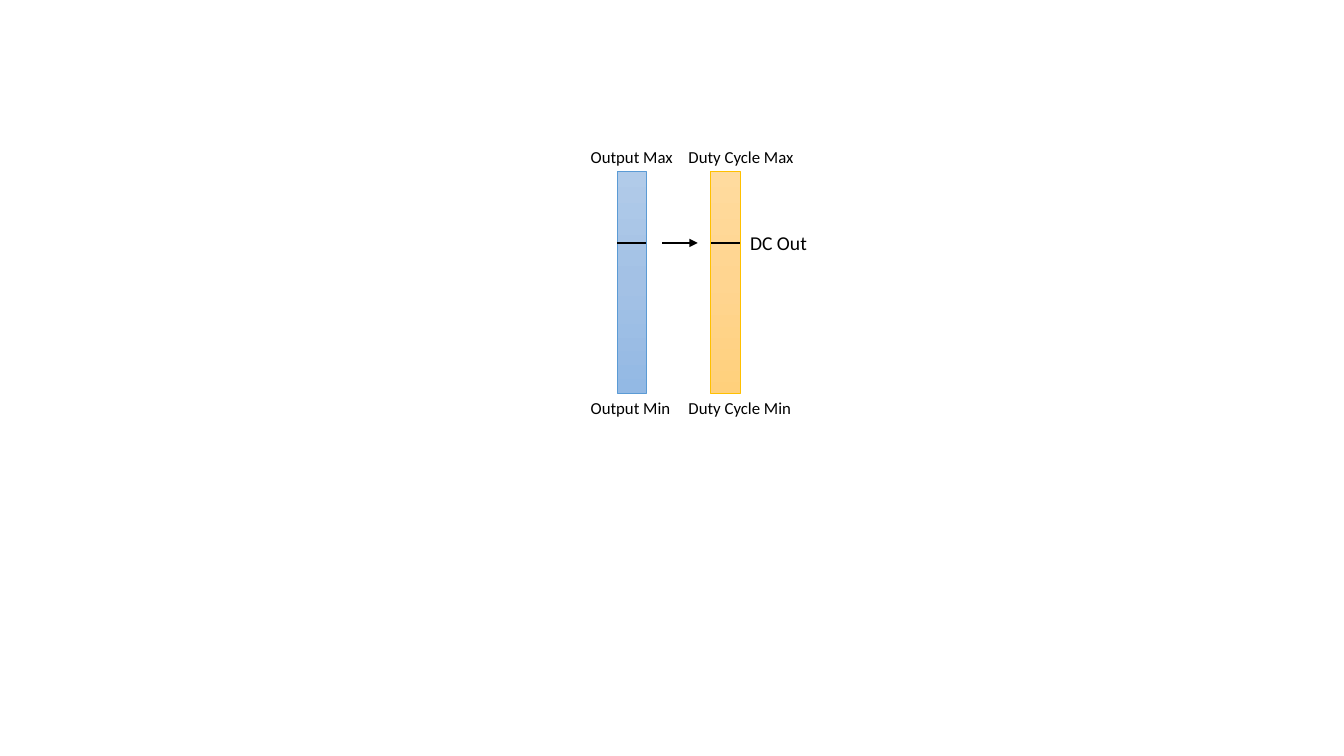
from copy import deepcopy

from lxml import etree
from pptx import Presentation
from pptx.dml.color import RGBColor
from pptx.enum.shapes import MSO_CONNECTOR, MSO_SHAPE
from pptx.enum.text import MSO_AUTO_SIZE
from pptx.oxml.ns import qn
from pptx.util import Inches, Pt

RECTANGLE = MSO_SHAPE.RECTANGLE
STRAIGHT = MSO_CONNECTOR.STRAIGHT
FIT_SHAPE = MSO_AUTO_SIZE.SHAPE_TO_FIT_TEXT

FONT = "Calibri"
COLORS = {
    "black": "000000",
    "blue line": "5B9BD5",
    "blue top": "B1CBE9",
    "blue middle": "A3C1E5",
    "blue bottom": "93B9E4",
    "gold line": "FFC000",
    "gold top": "FFDB9E",
    "gold middle": "FFD590",
    "gold bottom": "FFD07C",
}

# Shared measures in inches
BAR_TOP, BAR_WIDTH, BAR_HEIGHT = 1.7, 0.29, 2.2
LEVEL = 2.41
LABEL_HEIGHT = 0.3
LABEL_TOPS = {"Max": 1.41, "Min": BAR_TOP + BAR_HEIGHT}

# Quantity, hue, bar left, label left, label width
SCALES = [
    ("Output", "blue", 6.12, 5.76, 1.02),
    ("Duty Cycle", "gold", 7.05, 6.73, 1.31),
]


def rgb(name):
    return RGBColor.from_string(COLORS[name])


def add_bar(slide, left, hue):
    shape = slide.shapes.add_shape(
        RECTANGLE, Inches(left), Inches(BAR_TOP), Inches(BAR_WIDTH), Inches(BAR_HEIGHT)
    )
    shape.shadow.inherit = False
    shape.line.color.rgb = rgb(f"{hue} line")
    shape.line.width = Pt(0.5)

    # Vertical gradient with a third, middle stop
    shape.fill.gradient()
    shape.fill.gradient_angle = 270
    stop_list = shape._element.spPr.find(qn("a:gradFill")).find(qn("a:gsLst"))
    stop_list.insert(1, deepcopy(stop_list[0]))
    parts = zip(shape.fill.gradient_stops, ("top", "middle", "bottom"), (0, 0.5, 1))
    for stop, part, position in parts:
        stop.color.rgb = rgb(f"{hue} {part}")
        stop.position = position


def add_level_line(slide, start, end, width, arrow=False):
    connector = slide.shapes.add_connector(
        STRAIGHT, Inches(start), Inches(LEVEL), Inches(end), Inches(LEVEL)
    )
    connector.line.color.rgb = rgb("black")
    connector.line.width = Pt(width)
    properties = connector._element.spPr
    if arrow:
        line = properties.find(qn("a:ln"))
        etree.SubElement(line, qn("a:tailEnd"), type="triangle")
    etree.SubElement(properties, qn("a:effectLst"))


def add_label(slide, text, left, top, width, height=LABEL_HEIGHT, size=12):
    box = slide.shapes.add_textbox(
        Inches(left), Inches(top), Inches(width), Inches(height)
    )
    text_frame = box.text_frame
    text_frame.word_wrap = True
    text_frame.auto_size = FIT_SHAPE
    text_frame.text = text
    font = text_frame.paragraphs[0].runs[0].font
    font.name = FONT
    font.size = Pt(size)
    font.color.rgb = rgb("black")


def main():
    presentation = Presentation()
    presentation.slide_width = Inches(13.33)
    presentation.slide_height = Inches(7.5)
    slide = presentation.slides.add_slide(presentation.slide_layouts[6])

    # Scales with their level marks and limits
    for quantity, hue, bar_left, label_left, label_width in SCALES:
        add_bar(slide, bar_left, hue)
        add_level_line(slide, bar_left, bar_left + BAR_WIDTH, 1.5)
        for limit, top in LABEL_TOPS.items():
            add_label(slide, f"{quantity} {limit}", label_left, top, label_width)

    # Mapping from output to duty cycle
    add_level_line(slide, 6.57, 6.92, 1, arrow=True)
    add_label(slide, "DC Out", 7.34, 2.24, 0.81, height=0.34, size=14)

    presentation.save("out.pptx")


if __name__ == "__main__":
    main()
